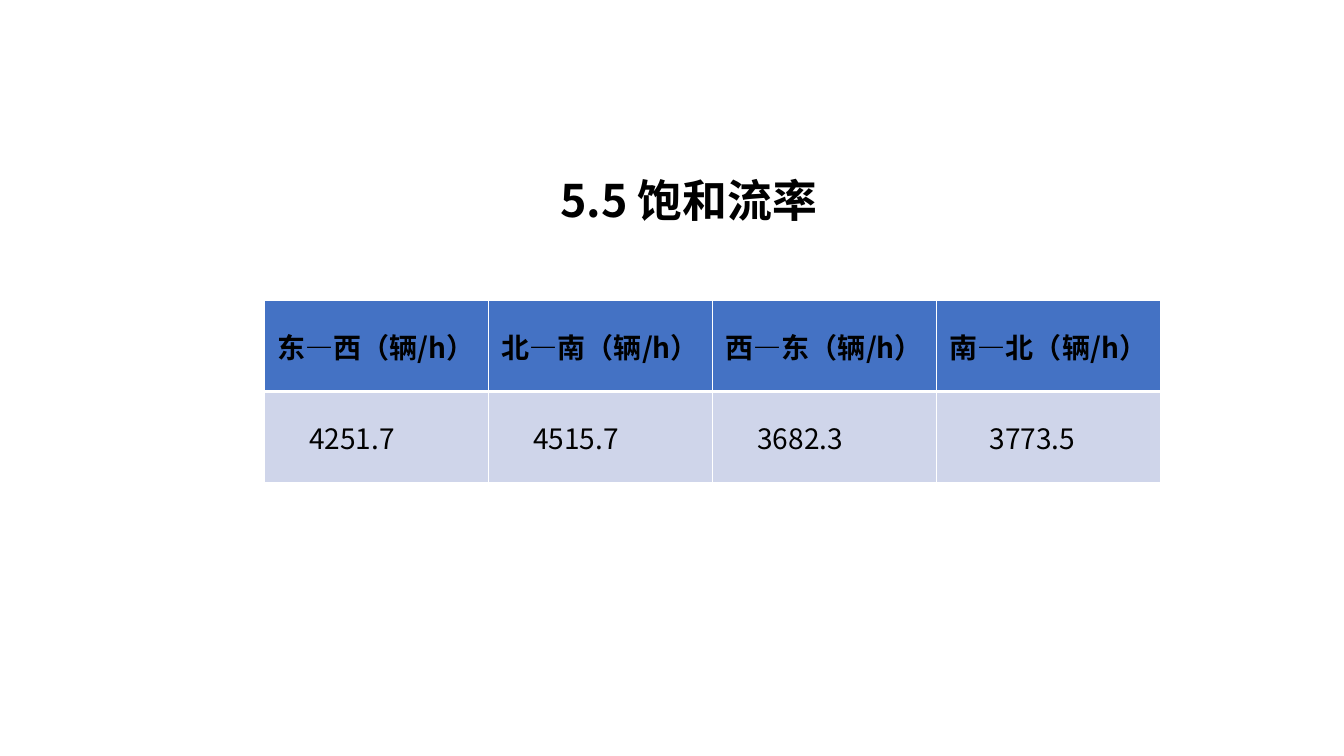
import pptx
import pptx.dml.color
import pptx.enum.text
import pptx.oxml
import pptx.oxml.ns
import pptx.util
from pptx.util import Inches

BLACK = pptx.dml.color.RGBColor(0x00, 0x00, 0x00)
WHITE = pptx.dml.color.RGBColor(0xFF, 0xFF, 0xFF)
BLUE = pptx.dml.color.RGBColor(0x44, 0x72, 0xC4)
PALE = pptx.dml.color.RGBColor(0xCF, 0xD5, 0xEA)
FONT = "Noto Sans CJK SC"
FLOWS = [
    ("东—西（辆/h）", "4251.7", 0.55),
    ("北—南（辆/h）", "4515.7", 0.55),
    ("西—东（辆/h）", "3682.3", 0.55),
    ("南—北（辆/h）", "3773.5", 0.39),
]


def write_text(frame, text, size=20, bold=False, spacing=None):
    frame.word_wrap = True
    para = frame.paragraphs[0]
    para.alignment = pptx.enum.text.PP_ALIGN.CENTER
    para.line_spacing = spacing
    span = para.add_run()
    span.text = text
    span.font.size = pptx.util.Pt(size)
    span.font.bold = bold
    span.font.color.rgb = BLACK
    span.font.name = FONT
    east_asian = pptx.oxml.parse_xml(
        f'<a:ea {pptx.oxml.ns.nsdecls("a")} typeface="{FONT}"/>')
    span.font._element.append(east_asian)


def add_title(page, text):
    box = page.shapes.add_textbox(Inches(1.83), Inches(0.66), Inches(10), Inches(2.61))
    frame = box.text_frame
    frame.vertical_anchor = pptx.enum.text.MSO_ANCHOR.BOTTOM
    frame.margin_bottom = Inches(1.02)
    write_text(frame, text, size=32, bold=True, spacing=0.9)


def set_borders(cell, **widths):
    properties = cell._tc.get_or_add_tcPr()
    for index, (side, width) in enumerate(widths.items()):
        line = pptx.oxml.parse_xml(
            f'<a:ln{side} {pptx.oxml.ns.nsdecls("a")} w="{pptx.util.Pt(width)}">'
            f'<a:solidFill><a:srgbClr val="{WHITE}"/></a:solidFill></a:ln{side}>')
        properties.insert(index, line)


def fill_cell(cell, text, fill, bold=False, right=0.07, bottom=1, top=1):
    cell.fill.solid()
    cell.fill.fore_color.rgb = fill
    cell.vertical_anchor = pptx.enum.text.MSO_ANCHOR.MIDDLE
    cell.margin_left, cell.margin_right = Inches(0.07), Inches(right)
    cell.margin_top = cell.margin_bottom = 0
    write_text(cell.text_frame, text, bold=bold)
    set_borders(cell, L=1, R=1, T=top, B=bottom)


def add_flow_table(page):
    table = page.shapes.add_table(
        2, len(FLOWS), Inches(2.62), Inches(2.98), Inches(8.89), Inches(1.81)).table
    for column, (direction, rate, right) in enumerate(FLOWS):
        fill_cell(table.cell(0, column), direction, BLUE, bold=True, bottom=3)
        fill_cell(table.cell(1, column), rate, PALE, right=right, top=3)


def main():
    deck = pptx.Presentation()
    deck.slide_width, deck.slide_height = Inches(13.33), Inches(7.5)
    page = deck.slides.add_slide(deck.slide_layouts[6])
    add_title(page, "5.5 饱和流率")
    add_flow_table(page)
    deck.save("out.pptx")


if __name__ == "__main__":
    main()
